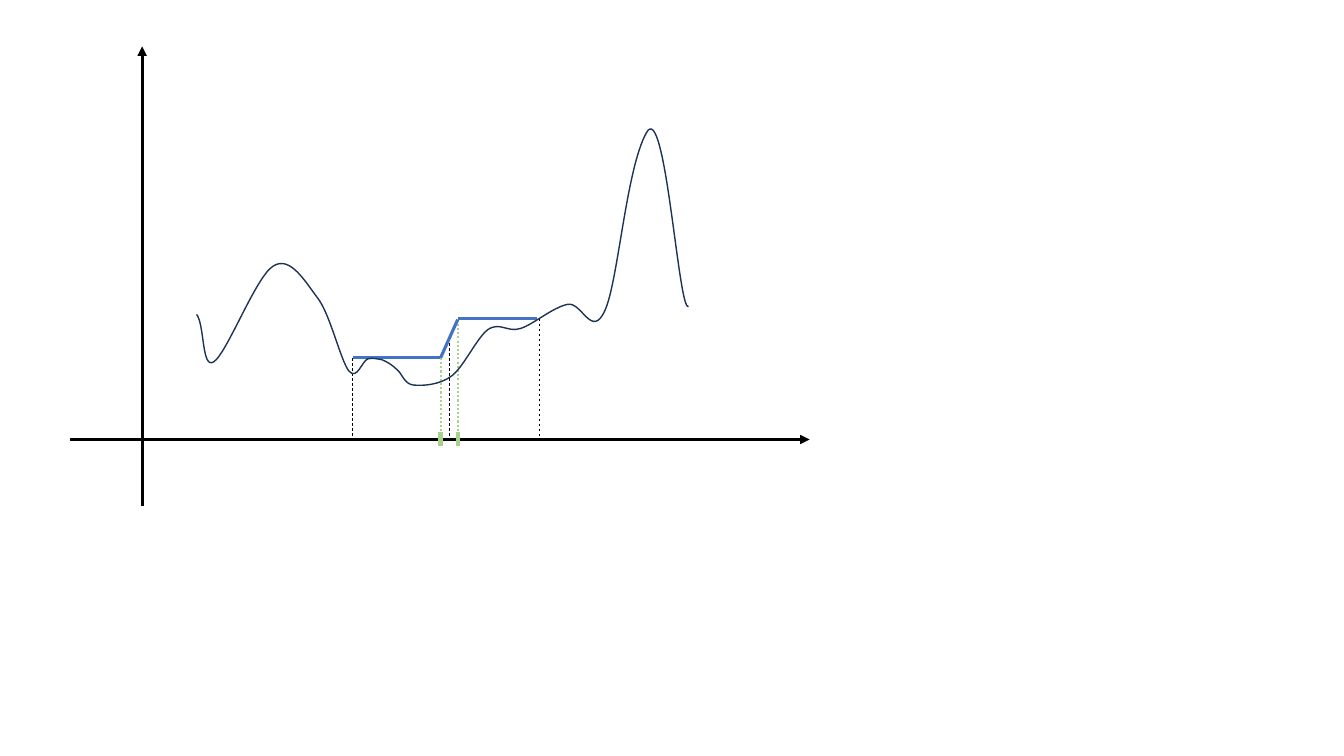
from lxml.etree import SubElement
from pptx import Presentation
from pptx.dml.color import RGBColor
from pptx.enum.dml import MSO_LINE
from pptx.enum.shapes import MSO_CONNECTOR
from pptx.oxml.ns import qn
from pptx.util import Inches, Pt

BLACK = RGBColor(0x00, 0x00, 0x00)
BLUE = RGBColor(0x44, 0x72, 0xC4)
GREEN = RGBColor(0xA9, 0xD1, 0x8E)
NAVY = RGBColor(0x1E, 0x32, 0x56)

AXIS_Y = 4.36
STEP_LEFT, STEP_RIGHT = 4.37, 4.54
LOW, HIGH = 3.55, 3.16

CURVE_START = (1.95, 3.12)
CURVE_SEGMENTS = [
    ((2.03, 3.22), (2, 3.67), (2.12, 3.59)),
    ((2.25, 3.51), (2.54, 2.74), (2.71, 2.64)),
    ((2.88, 2.53), (3.03, 2.8), (3.16, 2.97)),
    ((3.28, 3.14), (3.38, 3.58), (3.46, 3.68)),
    ((3.54, 3.78), (3.59, 3.58), (3.65, 3.56)),
    ((3.7, 3.55), (3.74, 3.56), (3.79, 3.57)),
    ((3.84, 3.59), (3.89, 3.62), (3.94, 3.67)),
    ((3.99, 3.71), (4.01, 3.81), (4.1, 3.82)),
    ((4.19, 3.83), (4.36, 3.82), (4.48, 3.73)),
    ((4.6, 3.64), (4.73, 3.35), (4.84, 3.27)),
    ((4.96, 3.19), (5.03, 3.3), (5.16, 3.26)),
    ((5.29, 3.22), (5.48, 3.05), (5.63, 3.02)),
    ((5.77, 2.99), (5.87, 3.37), (6, 3.08)),
    ((6.13, 2.8), (6.21, 1.68), (6.41, 1.32)),
    ((6.6, 0.96), (6.73, 3.12), (6.83, 3.04)),
]
CURVE_TOP, CURVE_HEIGHT = 1.28, 2.54


class GraphSlide:
    """Draws the lines and curves of a graph on one slide."""

    def __init__(self, slide):
        self.shapes = slide.shapes

    def line(self, start, end, color, width, dash=None, arrow=False):
        """Draw a straight line between two points in inches."""
        ends = [Inches(value) for value in (*start, *end)]
        connector = self.shapes.add_connector(MSO_CONNECTOR.STRAIGHT, *ends)
        connector.line.color.rgb = color
        connector.line.width = Pt(width)
        if dash:
            connector.line.dash_style = dash
        properties = connector._element.spPr
        if arrow:
            SubElement(properties.find(qn("a:ln")), qn("a:tailEnd"), type="triangle")
        SubElement(properties, qn("a:effectLst"))

    def curve(self, start, segments, top, height, color, width):
        """Draw an open Bezier curve within the given vertical extent."""
        builder = self.shapes.build_freeform(Inches(start[0]), Inches(start[1]))
        knots = [(Inches(x), Inches(y)) for _, _, (x, y) in segments]
        builder.add_line_segments(knots, close=False)
        outline = builder.convert_to_shape()
        outline.top, outline.height = Inches(top), Inches(height)
        outline.fill.background()
        outline.line.color.rgb = color
        outline.line.width = Pt(width)
        outline.shadow.inherit = False

        geometry = next(outline._element.iter(qn("a:path")))
        geometry.set("h", str(outline.height))
        for command in list(geometry):
            geometry.remove(command)
        commands = [("a:moveTo", [start])]
        commands += [("a:cubicBezTo", points) for points in segments]
        for tag, points in commands:
            command = SubElement(geometry, qn(tag))
            for x, y in points:
                SubElement(command, qn("a:pt"), x=str(Inches(x) - outline.left),
                           y=str(Inches(y) - outline.top))


def main():
    presentation = Presentation()
    presentation.slide_width = Inches(13.33)
    presentation.slide_height = Inches(7.5)
    graph = GraphSlide(presentation.slides.add_slide(presentation.slide_layouts[6]))

    graph.line((0.69, AXIS_Y), (8.03, AXIS_Y), BLACK, 2.25, arrow=True)
    graph.line((1.41, 5.02), (1.41, 0.46), BLACK, 2.25, arrow=True)

    for x, top, bottom in [(3.49, LOW, 4.36), (4.46, 3.35, 4.37), (5.35, HIGH, 4.39)]:
        graph.line((x, top), (x, bottom), BLACK, 0.5, MSO_LINE.DASH)

    graph.line((STEP_LEFT, LOW), (3.5, LOW), BLUE, 2.25)
    graph.line((5.33, HIGH), (STEP_RIGHT, HIGH), BLUE, 2.25)
    for x, top in [(STEP_RIGHT, 3.17), (STEP_LEFT, LOW)]:
        graph.line((x, top), (x, 4.42), GREEN, 1.5, MSO_LINE.ROUND_DOT)
    graph.line((STEP_RIGHT, 3.17), (STEP_LEFT, LOW), BLUE, 2.25)
    for x in (STEP_RIGHT, STEP_LEFT):
        graph.line((x, 4.29), (x, 4.42), GREEN, 3)

    graph.curve(CURVE_START, CURVE_SEGMENTS, CURVE_TOP, CURVE_HEIGHT, NAVY, 1)
    presentation.save("out.pptx")


if __name__ == "__main__":
    main()
